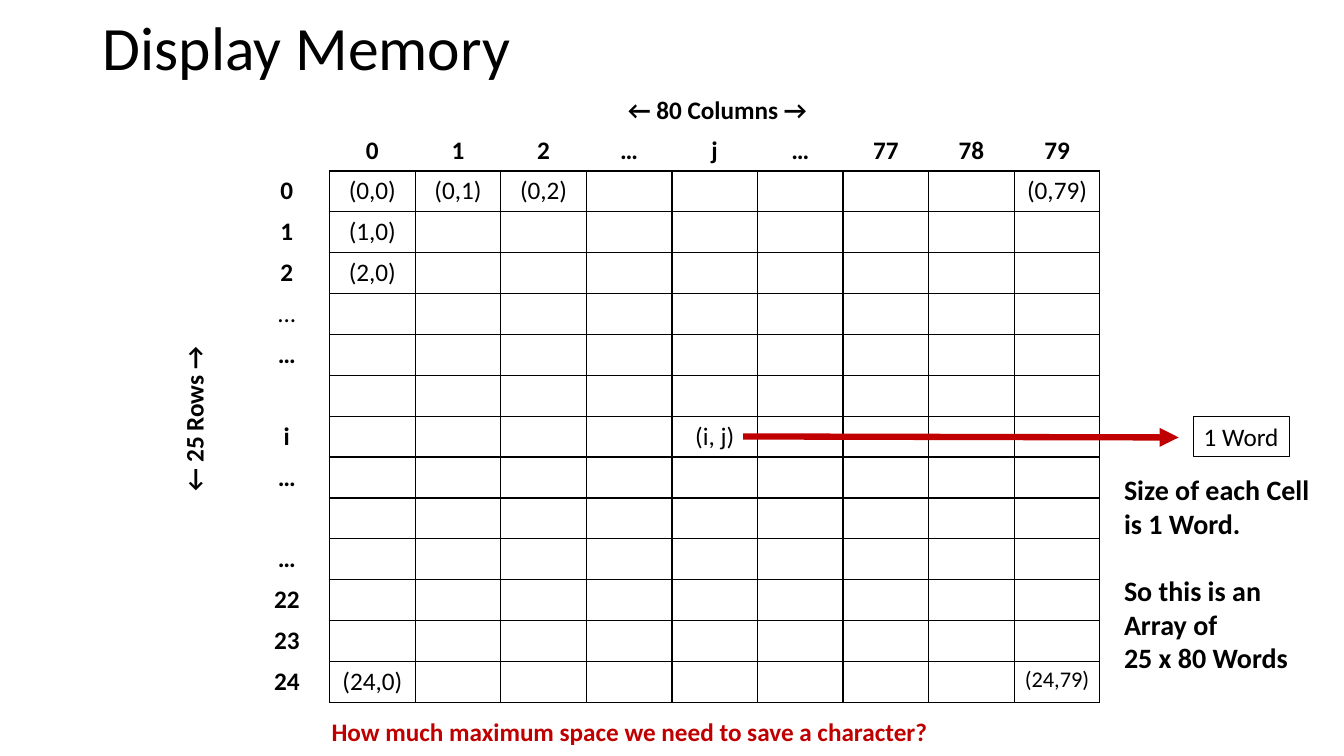
from lxml.etree import SubElement as Sub
from pptx import Presentation
from pptx.dml.color import RGBColor as RGB
from pptx.enum.shapes import MSO_CONNECTOR as Conn, MSO_SHAPE as Shape
from pptx.enum.text import MSO_ANCHOR as Anchor, PP_ALIGN as Align
from pptx.oxml.ns import qn
from pptx.util import Inches, Pt

INK = {"black": "000000", "white": "FFFFFF", "red": "C00000"}
COLS = ["0", "1", "2", "…", "j", "…", "77", "78", "79"]
ROWS = ["0", "1", "2", "...", "…", "", "i", "…", "", "…", "22", "23", "24"]
CELLS = {
    (0, 0): "(0,0)", (0, 1): "(0,1)", (0, 2): "(0,2)", (0, 8): "(0,79)",
    (1, 0): "(1,0)", (2, 0): "(2,0)", (6, 4): "(i, j)",
    (12, 0): "(24,0)", (12, 8): "(24,79)",
}


def write(frame, text, size=18, ink="black", bold=False, align=None,
          font="Calibri", lead=None, gaps=()):
    """Fill a frame, one paragraph a line; gaps holds (line, points before)."""
    frame.text = text
    for para in frame.paragraphs:
        para.alignment, para.line_spacing = align, lead
        for face in [para.font] + [run.font for run in para.runs]:
            face.name, face.size, face.bold = font, Pt(size), bold
            face.color.rgb = RGB.from_string(INK[ink])
    for line, space in gaps:
        frame.paragraphs[line].space_before = Pt(space)


class Page:
    def __init__(self, deck):
        self.slide = deck.slides.add_slide(deck.slide_layouts[6])
        self.shapes = self.slide.shapes

    def label(self, at, text, wrap=False, turn=0, anchor=Anchor.TOP, **style):
        item = self.shapes.add_textbox(*map(Inches, at))
        item.rotation = turn
        item.text_frame.word_wrap = wrap
        item.text_frame.vertical_anchor = anchor
        write(item.text_frame, text, **style)

    def box(self, at, text, width=0.75, **style):
        item = self.shapes.add_shape(Shape.RECTANGLE, *map(Inches, at))
        item.shadow.inherit = False
        item.fill.background()
        item.line.color.rgb = RGB.from_string(INK["black"])
        item.line.width = Pt(width)
        item.text_frame.word_wrap = False
        write(item.text_frame, text, align=Align.LEFT, **style)

    def arrow(self, start, end, ink="red", width=4.5):
        item = self.shapes.add_connector(
            Conn.STRAIGHT, *map(Inches, start + end))
        item.line.color.rgb = RGB.from_string(INK[ink])
        item.line.width = Pt(width)
        props = item._element.spPr
        Sub(props.find(qn("a:ln")), qn("a:tailEnd"), type="triangle")
        Sub(props, qn("a:effectLst"))

    def edge(self, cell, side, shown):
        props = cell._tc.get_or_add_tcPr()
        line = Sub(props, qn("a:ln" + side), w=str(Pt(1)))
        if shown:
            fill = Sub(line, qn("a:solidFill"))
            Sub(fill, qn("a:srgbClr"), val=INK["black"])
        else:
            Sub(line, qn("a:noFill"))

    def grid(self, at, cols, rows, cells):
        """Draw a ruled table whose row and column heads have no frame."""
        high, wide = len(rows) + 1, len(cols) + 1
        table = self.shapes.add_table(high, wide, *map(Inches, at)).table
        table.first_row = table.horz_banding = False
        for col in table.columns:
            col.width = Inches(at[2] / wide)
        for row in table.rows:
            row.height = Inches(at[3] / high)
        for r in range(high):
            for c in range(wide):
                cell = table.cell(r, c)
                inner = r > 0 and c > 0
                for side, shown in (("L", inner), ("R", r > 0),
                                    ("T", inner), ("B", c > 0)):
                    self.edge(cell, side, shown)
                cell.fill.solid()
                cell.fill.fore_color.rgb = RGB.from_string(INK["white"])
                if inner:
                    text = cells.get((r - 1, c - 1), "")
                else:
                    text = cols[c - 1] if c else rows[r - 1] if r else ""
                write(cell.text_frame, text, align=Align.CENTER,
                      size=16 if text == "(24,79)" else 18,
                      bold=not inner and text != "...")


def main():
    deck = Presentation()
    deck.slide_width, deck.slide_height = Inches(13.33), Inches(7.5)
    page = Page(deck)
    page.label((0.92, 0, 11.5, 1.01), "Display Memory", wrap=True,
               anchor=Anchor.MIDDLE, size=44, lead=0.9)
    page.grid((2.42, 1.29, 8.49, 5.68), COLS, ROWS, CELLS)
    page.label((6.13, 0.89, 2.03, 0.4), "← 80 Columns →", bold=True)
    page.label((1.08, 3.93, 1.68, 0.4), "← 25 Rows →", turn=270, bold=True)
    page.box((11.84, 4.13, 0.95, 0.4), "1 Word")
    page.arrow((7.37, 4.33), (11.69, 4.34))
    page.label((11.05, 4.64, 2.06, 2.12),
               "Size of each Cell is 1 Word.\n"
               "So this is an Array of\n25 x 80 Words",
               wrap=True, size=20, bold=True, gaps=[(1, 24)])
    page.label((3.19, 7.06, 6.16, 0.4),
               "How much maximum space we need to save a character?",
               ink="red", bold=True)
    deck.save("out.pptx")


if __name__ == "__main__":
    main()
